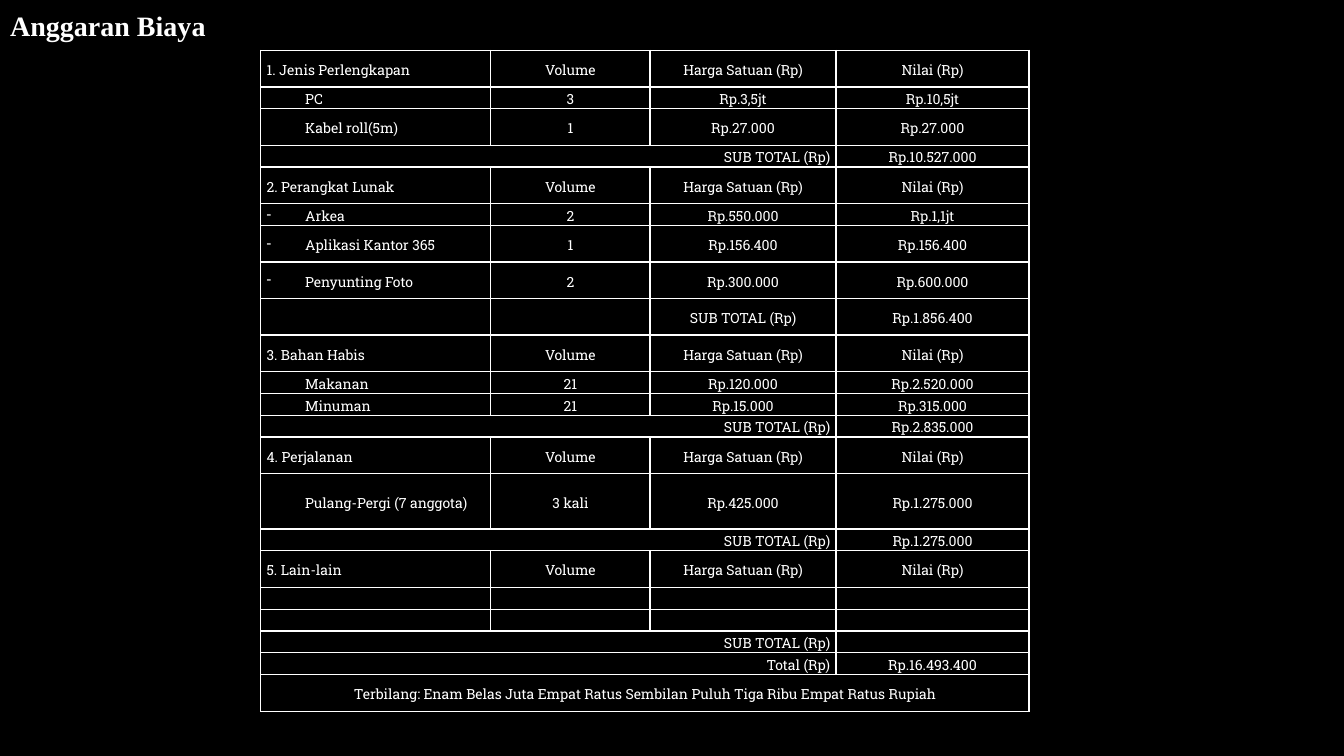
import lxml.etree
import pptx
import pptx.dml.color
import pptx.enum.text
import pptx.oxml.ns
import pptx.util

Cm = pptx.util.Cm
Pt = pptx.util.Pt
ALIGN = pptx.enum.text.PP_ALIGN
MIDDLE = pptx.enum.text.MSO_ANCHOR.MIDDLE
qn = pptx.oxml.ns.qn

WHITE = "FFFFFF"
BLACK = "000000"
SLAB = "Roboto Slab"
LOW, HIGH, TRIP = 0.55, 0.92, 1.4
WIDTHS = [5.8, 4.01, 4.69, 4.86]
SUB = "SUB TOTAL (Rp)"


def head(name):
    return "head", HIGH, [name, "Volume", "Harga Satuan (Rp)", "Nilai (Rp)"]


def item(high, *texts):
    return "item", high, texts


def dash(high, *texts):
    return "dash", high, texts


def total(label, value):
    return "total", LOW, [label, "", "", value]


ROWS = [
    head("1. Jenis Perlengkapan"),
    item(LOW, "PC", "3", "Rp.3,5jt", "Rp.10,5jt"),
    item(HIGH, "Kabel roll(5m)", "1", "Rp.27.000", "Rp.27.000"),
    total(SUB, "Rp.10.527.000"),
    head("2. Perangkat Lunak"),
    dash(LOW, "Arkea", "2", "Rp.550.000", "Rp.1,1jt"),
    dash(HIGH, "Aplikasi Kantor 365", "1", "Rp.156.400", "Rp.156.400"),
    dash(HIGH, "Penyunting Foto", "2", "Rp.300.000", "Rp.600.000"),
    item(HIGH, "", "", SUB, "Rp.1.856.400"),
    head("3. Bahan Habis"),
    item(LOW, "Makanan", "21", "Rp.120.000", "Rp.2.520.000"),
    item(LOW, "Minuman", "21", "Rp.15.000", "Rp.315.000"),
    total(SUB, "Rp.2.835.000"),
    head("4. Perjalanan"),
    item(TRIP, "Pulang-Pergi (7 anggota)", "3 kali", "Rp.425.000", "Rp.1.275.000"),
    total(SUB, "Rp.1.275.000"),
    head("5. Lain-lain"),
    item(LOW, "", "", "", ""),
    item(LOW, "", "", "", ""),
    total(SUB, ""),
    total("Total (Rp)", "Rp.16.493.400"),
    ("words", HIGH, [
        "Terbilang: Enam Belas Juta Empat Ratus Sembilan Puluh Tiga Ribu "
        "Empat Ratus Rupiah", "", "", ""]),
]


def color(code):
    return pptx.dml.color.RGBColor.from_string(code)


def style(para, face, size, bold=False):
    font = para.font
    font.name = face
    font.size = Pt(size)
    font.bold = bold
    font.color.rgb = color(WHITE)


def border(cell):
    props = cell._tc.get_or_add_tcPr()
    for side in ("a:lnL", "a:lnR", "a:lnT", "a:lnB"):
        line = lxml.etree.SubElement(props, qn(side), w=str(Pt(1)))
        fill = lxml.etree.SubElement(line, qn("a:solidFill"))
        lxml.etree.SubElement(fill, qn("a:srgbClr"), val=WHITE)


def indent(para, mark):
    props = para._p.get_or_add_pPr()
    props.set("marL", str(Cm(0.97)))
    props.set("indent", str(Cm(-0.97 if mark else 0)))
    if mark:
        lxml.etree.SubElement(props, qn("a:buChar"), char=mark)


def fill_cell(cell, text, kind, col):
    border(cell)
    cell.fill.background()
    cell.vertical_anchor = MIDDLE
    cell.margin_left = cell.margin_right = Cm(0.15)
    cell.margin_top = cell.margin_bottom = 0
    cell.text = text
    para = cell.text_frame.paragraphs[0]
    para.line_spacing = 1.15
    first = {"total": ALIGN.RIGHT, "words": ALIGN.CENTER}
    para.alignment = ALIGN.CENTER if col else first.get(kind, ALIGN.LEFT)
    if text and col == 0 and kind in ("item", "dash"):
        indent(para, "-" if kind == "dash" else "")
    style(para, SLAB, 10)
    if not text:
        lxml.etree.SubElement(para._p, qn("a:endParaRPr"), sz="1000")


def add_title(slide, text):
    title = slide.shapes.title
    title.left, title.top = Cm(0), Cm(0.08)
    title.width, title.height = Cm(5.49), Cm(1.11)
    frame = title.text_frame
    frame.text = text
    frame.word_wrap = False
    frame.auto_size = pptx.enum.text.MSO_AUTO_SIZE.SHAPE_TO_FIT_TEXT
    frame.vertical_anchor = MIDDLE
    para = frame.paragraphs[0]
    para.alignment = ALIGN.LEFT
    style(para, "Times New Roman", 20, True)


def add_costs(slide):
    tall = sum(high for kind, high, texts in ROWS)
    frame = slide.shapes.add_table(
        len(ROWS), len(WIDTHS), Cm(6.57), Cm(1.27), Cm(sum(WIDTHS)), Cm(tall))
    table = frame.table
    table.first_row = table.horz_banding = False
    for col, wide in enumerate(WIDTHS):
        table.columns[col].width = Cm(wide)
    spans = {"total": 2, "words": 3}
    for row, (kind, high, texts) in enumerate(ROWS):
        table.rows[row].height = Cm(high)
        for col, text in enumerate(texts):
            fill_cell(table.cell(row, col), text, kind, col)
        if kind in spans:
            table.cell(row, 0).merge(table.cell(row, spans[kind]))


def main():
    deck = pptx.Presentation()
    deck.slide_width, deck.slide_height = Cm(33.87), Cm(19.05)
    slide = deck.slides.add_slide(deck.slide_layouts[5])
    back = slide.background.fill
    back.solid()
    back.fore_color.rgb = color(BLACK)
    add_title(slide, "Anggaran Biaya")
    add_costs(slide)
    deck.save("out.pptx")


main()
